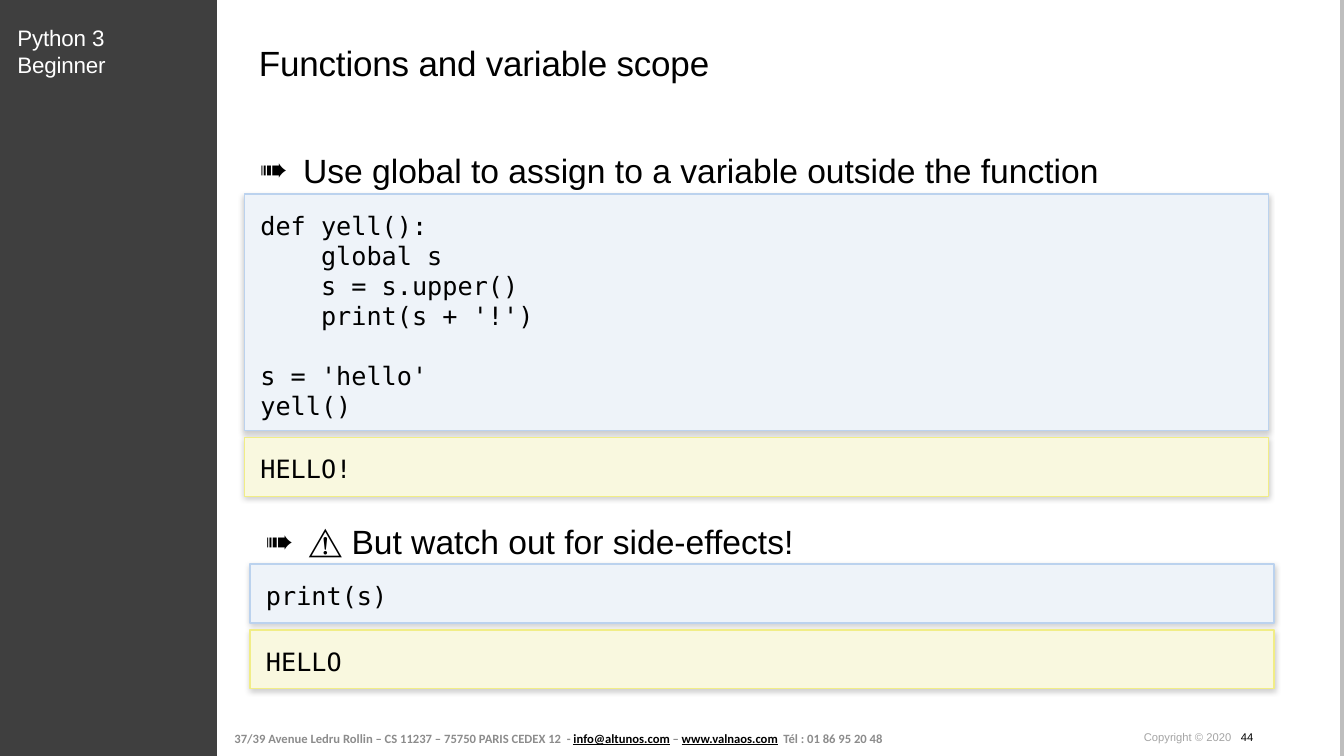
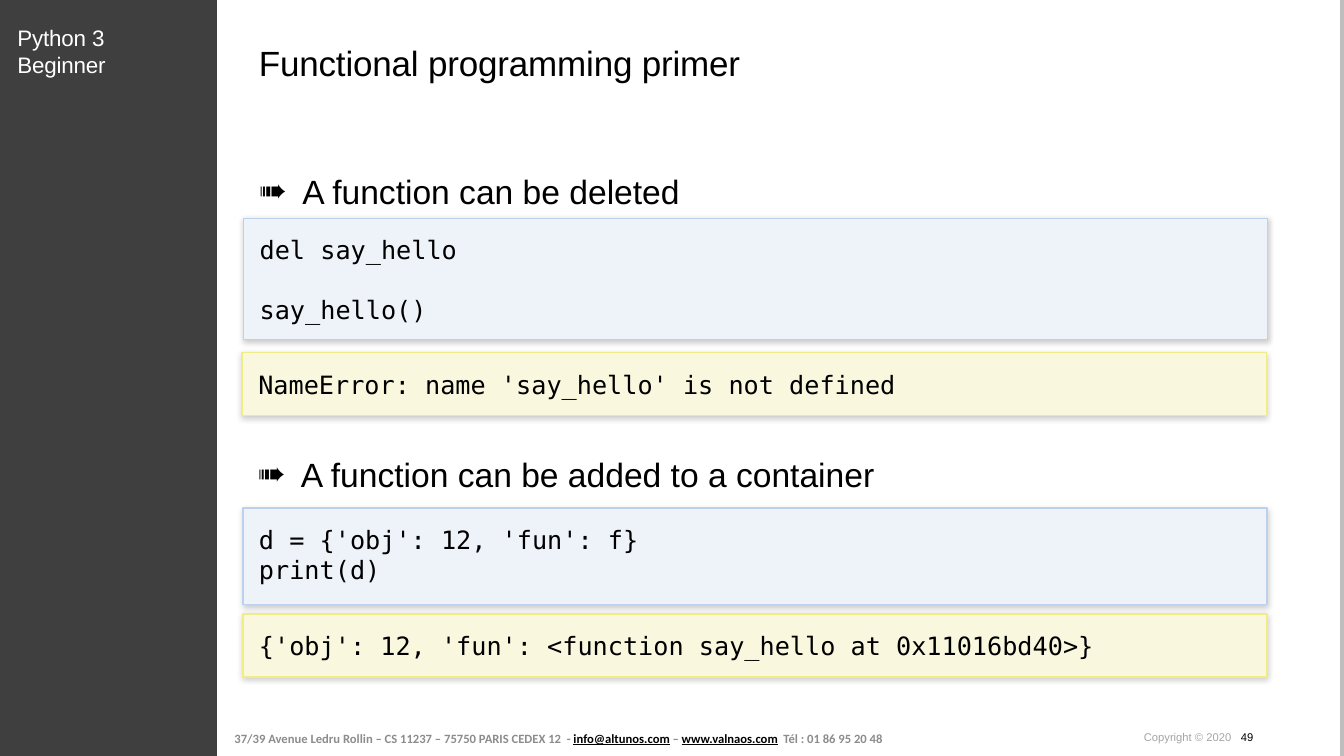
from lxml.etree import SubElement as Sub
from pptx import Presentation
from pptx.dml.color import RGBColor
from pptx.enum.shapes import MSO_CONNECTOR as Link, MSO_SHAPE as Form
from pptx.enum.text import MSO_ANCHOR as Anchor, MSO_AUTO_SIZE as Fit, PP_ALIGN as Align
from pptx.oxml.ns import qn
from pptx.util import Pt


def color(code):
    return RGBColor.from_string(code)


def write(para, text, size=18, font="Arial", ink="000000", bold=False, under=False, track=0):
    run = para.add_run()
    run.text = text
    style = run.font
    style.size = Pt(size)
    style.name = font
    style.bold = bold
    style.underline = under
    style.color.rgb = color(ink)
    if track:
        run._r.get_or_add_rPr().set("spc", str(track))


class Deck:
    wide, high = 960, 540
    side = 155
    dark, edge, white = "3F3F3F", "BEBEBE", "FFFFFF"
    gray, pale, black = "8C8C8C", "A4A4A4", "000000"
    blue = ("EEF3F9", "BBD2EE")
    gold = ("F9F8DF", "F1ED86")
    mono, small = "DejaVu Sans Mono", "Calibri"
    line = 21

    def __init__(self):
        self.file = Presentation()
        self.file.slide_width = Pt(self.wide)
        self.file.slide_height = Pt(self.high)

    def page(self, title, number):
        self.slide = self.file.slides.add_slide(self.file.slide_layouts[3])
        self.lists = [p for p in self.slide.placeholders if p.placeholder_format.idx]
        self.frame()
        self.title(title)
        self.footer(number)

    def place(self, shape, left, top, width, height):
        shape.left, shape.top = Pt(left), Pt(top)
        shape.width, shape.height = Pt(width), Pt(height)

    def setup(self, shape, pad=(0, 0, 0, 0), anchor=Anchor.TOP):
        body = shape.text_frame
        body.word_wrap = True
        body.auto_size = Fit.NONE
        body.vertical_anchor = anchor
        body.margin_left, body.margin_top, body.margin_right, body.margin_bottom = map(Pt, pad)
        para = body.paragraphs[0]
        para.alignment = Align.LEFT
        return para

    def label(self, left, top, width, height, **look):
        spot = [Pt(v) for v in (left, top, width, height)]
        return self.setup(self.slide.shapes.add_textbox(*spot), **look)

    def block(self, left, top, width, height, fill):
        spot = [Pt(v) for v in (left, top, width, height)]
        shape = self.slide.shapes.add_shape(Form.RECTANGLE, *spot)
        shape.shadow.inherit = False
        shape.fill.solid()
        shape.fill.fore_color.rgb = color(fill)
        shape.line.fill.background()
        return shape

    def frame(self):
        self.block(0, 0, self.side, self.high, self.dark)
        edge = self.slide.shapes.add_connector(
            Link.STRAIGHT, Pt(958.5), Pt(0), Pt(958.5), Pt(self.high))
        edge.line.color.rgb = color(self.edge)
        edge.line.width = Pt(3.34)
        Sub(edge._element.spPr, qn("a:effectLst"))
        para = self.label(12.5, 17.5, 100, 39)
        write(para, "Python 3 Beginner", size=16, ink=self.white, track=-10)

    def title(self, text):
        shape = self.slide.shapes.title
        self.place(shape, 62, 29.5, 837, 30)
        para = self.setup(shape, pad=(123, 0, 0, 0), anchor=Anchor.MIDDLE)
        write(para, text, size=25, track=-10)

    def footer(self, number):
        para = self.label(162.5, 516, 481, 23, pad=(5, 3, 5, 3), anchor=Anchor.MIDDLE)
        parts = [
            ("37/39 Avenue Ledru Rollin – CS 11237 – 75750 PARIS CEDEX 12  - ", False),
            ("info@altunos.com", True),
            (" – ", False),
            ("www.valnaos.com", True),
            ("  Tél : 01 86 95 20 48", False),
        ]
        for text, link in parts:
            write(para, text, size=9, font=self.small, bold=True, under=link,
                  ink=self.black if link else self.gray)
        para = self.label(817, 522, 123, 9.5)
        write(para, "Copyright © 2020   ", size=8, ink=self.pale)
        write(para, str(number), size=8)

    def bullet(self, left, top, text):
        shape = self.lists.pop(0)
        self.place(shape, left, top, 851, 38.5)
        para = self.setup(shape)
        para.line_spacing = 1.5
        para.space_before = Pt(0)
        props = para._p.get_or_add_pPr()
        props.set("marL", str(Pt(161.5)))
        props.set("indent", str(Pt(-31)))
        Sub(props, qn("a:buChar")).set("char", "➠")
        write(para, text, size=24)

    def code(self, left, top, height, text, tint):
        fill, rim = tint
        shape = self.block(left, top, 731.5, height, fill)
        shape.line.color.rgb = color(rim)
        shape.line.width = Pt(1)
        glow = Sub(shape._element.spPr.find(qn("a:effectLst")), qn("a:outerShdw"),
                   blurRad=str(Pt(4)), dist=str(Pt(1)), dir="5400000", rotWithShape="0")
        tone = Sub(glow, qn("a:srgbClr"), val=self.black)
        Sub(tone, qn("a:alpha"), val="20000")
        para = self.setup(shape, pad=(11.5,) * 4)
        gap = 0
        for i, row in enumerate(text.split("\n")):
            if not row:
                gap += self.line
                continue
            if i:
                para = shape.text_frame.add_paragraph()
                para.alignment = Align.LEFT
                para.space_before = Pt(gap)
            write(para, row, font=self.mono)
            gap = 0


SCOPE = """def yell():
    global s
    s = s.upper()
    print(s + '!')

s = 'hello'
yell()"""


def main():
    deck = Deck()

    deck.page("Functions and variable scope", 44)
    deck.bullet(55, 92.5, "Use global to assign to a variable outside the function")
    deck.code(174.5, 138.5, 169, SCOPE, deck.blue)
    deck.code(174.5, 312.5, 42, "HELLO!", deck.gold)
    deck.bullet(59, 358, "⚠️ But watch out for side-effects!")
    deck.code(178.5, 403, 42, "print(s)", deck.blue)
    deck.code(178.5, 450, 42, "HELLO", deck.gold)

    deck.page("Functional programming primer", 49)
    deck.bullet(54.5, 107.5, "A function can be deleted")
    deck.code(174, 156, 86.5, "del say_hello\n\nsay_hello()", deck.blue)
    deck.code(173, 252, 45, "NameError: name 'say_hello' is not defined", deck.gold)
    deck.bullet(53.5, 309.5, "A function can be added to a container")
    deck.code(173.5, 363, 69, "d = {'obj': 12, 'fun': f}\nprint(d)", deck.blue)
    deck.code(173.5, 438.5, 45,
              "{'obj': 12, 'fun': <function say_hello at 0x11016bd40>}", deck.gold)

    deck.file.save("out.pptx")


if __name__ == "__main__":
    main()
